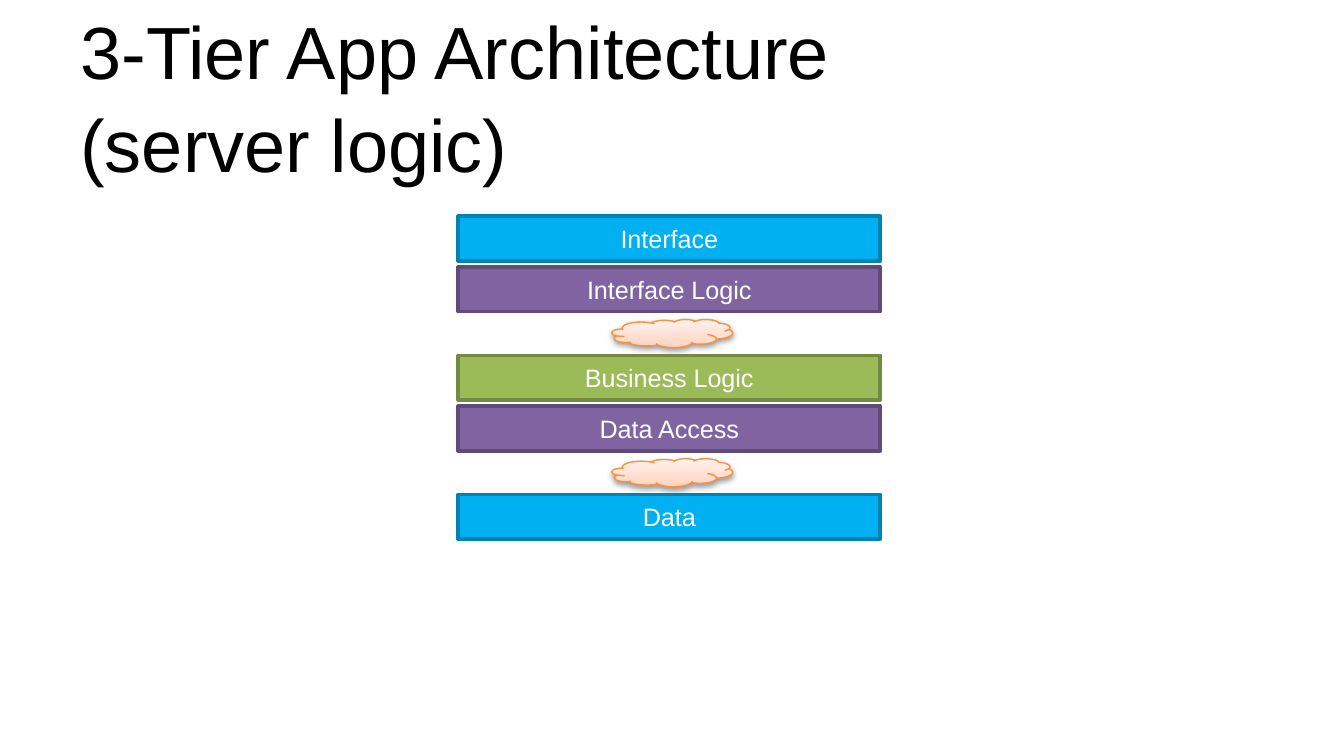
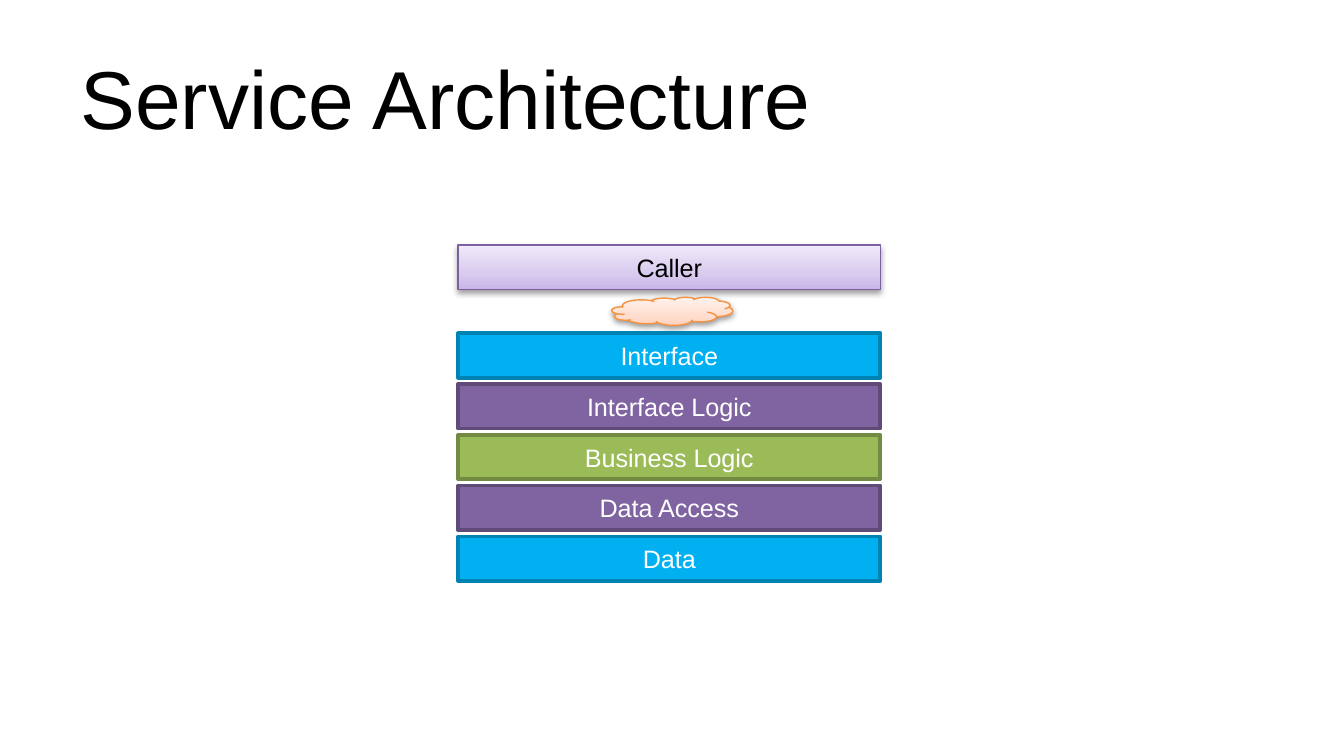
import pptx
import pptx.util
import pptx.dml.color
import pptx.enum.shapes
import pptx.enum.text
import pptx.oxml
import pptx.oxml.ns

Cm = pptx.util.Cm
Pt = pptx.util.Pt
qn = pptx.oxml.ns.qn
SHAPE = pptx.enum.shapes.MSO_SHAPE
ALIGN = pptx.enum.text.PP_ALIGN
ANCHOR = pptx.enum.text.MSO_ANCHOR

COLORS = {
    "black": "000000", "white": "FFFFFF",
    "blue": "00B0F0", "blue_line": "0082B2",
    "purple": "8064A2", "purple_line": "5F4A78",
    "green": "9BBB59", "green_line": "738A42",
    "caller_line": "7D60A0", "cloud_line": "F69240",
}
GRADIENTS = {
    "caller": [(0, "C9B5E8"), (35, "D8CBEE"), (100, "F0EAF9")],
    "cloud": [(0, "FFD2BD"), (35, "FFDED0"), (100, "FFF2ED")],
}
LAYERS = {
    "Caller": "caller",
    "Interface": "blue",
    "Interface Logic": "purple",
    "Business Logic": "green",
    "Data Access": "purple",
    "Data": "blue",
}
CLOUD = "cloud"
SLIDES = [
    {"title": ["3-Tier App Architecture", "(server logic)"], "size": 39.6, "top": 4.09,
     "stack": ["Interface", "Interface Logic", CLOUD, "Business Logic", "Data Access", CLOUD, "Data"]},
    {"title": ["Service Architecture"], "size": 44, "top": 4.63,
     "stack": ["Caller", CLOUD, "Interface", "Interface Logic", "Business Logic", "Data Access", "Data"]},
]

FONT = "Arial"
BAR_LEFT, BAR_W, BAR_H = 8.66, 7.98, 0.84
CLOUD_LEFT, CLOUD_W, CLOUD_H = 11.56, 2.29, 0.53
BAR_GAP, CLOUD_GAP = 0.12, 0.15


def rgb(name):
    return pptx.dml.color.RGBColor.from_string(COLORS[name])


def add_run(p, text, size, color):
    r = p.add_run()
    r.text = text
    r.font.name = FONT
    r.font.size = Pt(size)
    r.font.color.rgb = rgb(color)


def add_title(slide, lines, size):
    tf = slide.shapes.add_textbox(Cm(1.27), Cm(0.58), Cm(22.86), Cm(2.39)).text_frame
    tf.word_wrap = True
    tf.vertical_anchor = ANCHOR.MIDDLE
    p = tf.paragraphs[0]
    p.line_spacing = 1.05
    for i, line in enumerate(lines):
        if i:
            p.add_line_break()
        add_run(p, line, size, "black")


def apply_gradient(sp, stops):
    sp.fill.gradient()
    sp.fill.gradient_angle = 90
    gs_lst = sp.element.spPr.find(qn("a:gradFill")).find(qn("a:gsLst"))
    for gs in list(gs_lst):
        gs_lst.remove(gs)
    for pos, color in stops:
        gs_lst.append(pptx.oxml.parse_xml(
            f'<a:gs {pptx.oxml.ns.nsdecls("a")} pos="{pos * 1000}"><a:srgbClr val="{color}"/></a:gs>'))


def add_shadow(sp):
    sp.element.spPr.find(qn("a:effectLst")).append(pptx.oxml.parse_xml(
        f'<a:outerShdw {pptx.oxml.ns.nsdecls("a")} blurRad="{Pt(3.1)}" dist="{Pt(1.6)}" '
        'dir="5400000" rotWithShape="0"><a:srgbClr val="000000"><a:alpha val="38000"/>'
        '</a:srgbClr></a:outerShdw>'))


def add_styled(slide, kind, left, top, width, height, style):
    sp = slide.shapes.add_shape(kind, Cm(left), Cm(top), Cm(width), Cm(height))
    sp.shadow.inherit = False
    sp.line.color.rgb = rgb(style + "_line")
    if style in GRADIENTS:
        sp.line.width = Pt(0.75)
        apply_gradient(sp, GRADIENTS[style])
        add_shadow(sp)
    else:
        sp.line.width = Pt(2)
        sp.fill.solid()
        sp.fill.fore_color.rgb = rgb(style)
    return sp


def add_bar(slide, label, top):
    style = LAYERS[label]
    sp = add_styled(slide, SHAPE.RECTANGLE, BAR_LEFT, top, BAR_W, BAR_H, style)
    tf = sp.text_frame
    tf.word_wrap = False
    tf.vertical_anchor = ANCHOR.MIDDLE
    tf.margin_left = tf.margin_right = Cm(0.15)
    tf.margin_top = tf.margin_bottom = Cm(0.08)
    p = tf.paragraphs[0]
    p.alignment = ALIGN.CENTER
    add_run(p, label, 13.5, "black" if style in GRADIENTS else "white")


def add_stack(slide, stack, top):
    for item, following in zip(stack, stack[1:] + [None]):
        if item == CLOUD:
            add_styled(slide, SHAPE.CLOUD, CLOUD_LEFT, top, CLOUD_W, CLOUD_H, CLOUD)
            top += CLOUD_H + CLOUD_GAP
        else:
            add_bar(slide, item, top)
            top += BAR_H + (CLOUD_GAP if following == CLOUD else BAR_GAP)


def main():
    prs = pptx.Presentation()
    prs.slide_width = Cm(25.4)
    prs.slide_height = Cm(14.29)
    for content in SLIDES:
        slide = prs.slides.add_slide(prs.slide_layouts[6])
        add_title(slide, content["title"], content["size"])
        add_stack(slide, content["stack"], content["top"])
    prs.save("out.pptx")


if __name__ == "__main__":
    main()
